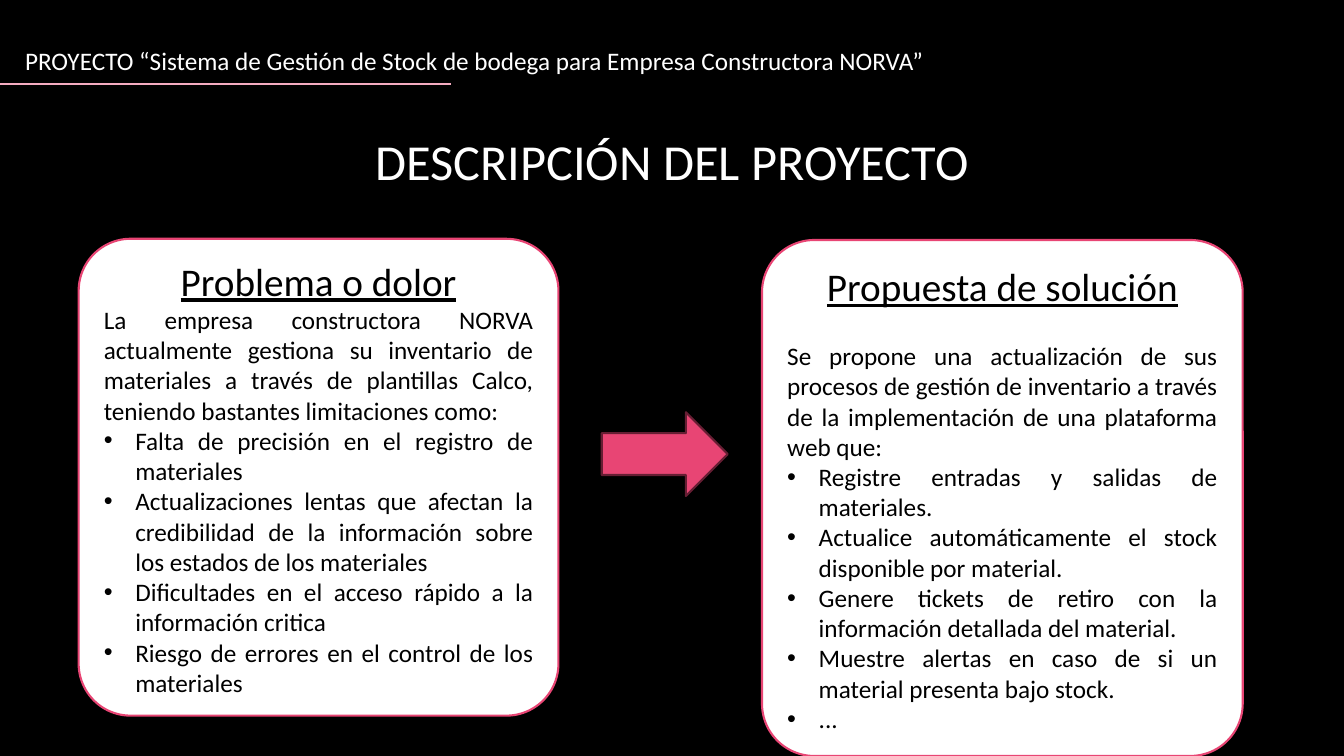
import pptx
import pptx.dml.color
import pptx.enum.shapes
import pptx.enum.text
import pptx.util
from lxml import etree
from pptx.oxml.ns import qn

Pt = pptx.util.Pt
RGBColor = pptx.dml.color.RGBColor
MSO_SHAPE = pptx.enum.shapes.MSO_SHAPE
PP_ALIGN = pptx.enum.text.PP_ALIGN
MSO_ANCHOR = pptx.enum.text.MSO_ANCHOR

BLACK = RGBColor(0x00, 0x00, 0x00)
WHITE = RGBColor(0xFF, 0xFF, 0xFF)
PINK = RGBColor(0xE8, 0x45, 0x74)
LIGHT_PINK = RGBColor(0xF5, 0xAB, 0xC0)
DARK_PINK = RGBColor(0x66, 0x1E, 0x33)

FONT = "Calibri"
SLIDE_WIDTH, SLIDE_HEIGHT = 960, 540
BODY_SIZE = 18
BULLET_INDENT = 22.5

PROBLEM = (
    "Problema o dolor",
    "La empresa constructora NORVA actualmente gestiona su inventario de "
    "materiales a través de plantillas Calco, teniendo bastantes "
    "limitaciones como:",
    [
        "Falta de precisión en el registro de materiales",
        "Actualizaciones lentas que afectan la credibilidad de la información "
        "sobre los estados de los materiales",
        "Dificultades en el acceso rápido a la información critica",
        "Riesgo de errores en el control de los materiales",
    ],
)
SOLUTION = (
    "Propuesta de solución",
    "Se propone una actualización de sus procesos de gestión de inventario a "
    "través de la implementación de una plataforma web que:",
    [
        "Registre entradas y salidas de materiales.",
        "Actualice automáticamente el stock disponible por material.",
        "Genere tickets de retiro con la información detallada del material.",
        "Muestre alertas en caso de si un material presenta bajo stock.",
        "...",
    ],
)


def style_paragraph(paragraph, text, size, color, alignment):
    paragraph.text = text
    paragraph.alignment = alignment
    paragraph.font.name = FONT
    paragraph.font.size = Pt(size)
    paragraph.font.color.rgb = color


def add_bullet(paragraph):
    properties = paragraph._p.get_or_add_pPr()
    properties.set("marL", str(Pt(BULLET_INDENT)))
    properties.set("indent", str(-Pt(BULLET_INDENT)))
    bullet_font = etree.SubElement(properties, qn("a:buFont"))
    bullet_font.set("typeface", "Arial")
    etree.SubElement(properties, qn("a:buChar")).set("char", "•")


def add_text_line(slide, box, text, size, alignment):
    text_box = slide.shapes.add_textbox(*map(Pt, box))
    text_box.text_frame.word_wrap = True
    style_paragraph(text_box.text_frame.paragraphs[0], text, size, WHITE, alignment)


def add_filled_shape(slide, kind, box, fill, line):
    shape = slide.shapes.add_shape(kind, *map(Pt, box))
    shape.shadow.inherit = False
    shape.fill.solid()
    shape.fill.fore_color.rgb = fill
    shape.line.color.rgb = line
    shape.line.width = Pt(1.5)
    return shape


def add_header(slide, box):
    left, top, width, height = box
    add_text_line(
        slide, (left + 10.8, top, width, height),
        "PROYECTO “Sistema de Gestión de Stock de bodega para Empresa "
        "Constructora NORVA”", 18, PP_ALIGN.LEFT)

    # Rule under the project name
    rule_top = Pt(top + height + 2)
    rule = slide.shapes.add_connector(
        pptx.enum.shapes.MSO_CONNECTOR.STRAIGHT,
        Pt(left), rule_top, Pt(left + 322), rule_top)
    rule.line.color.rgb = LIGHT_PINK
    rule.line.width = Pt(1.25)
    etree.SubElement(rule._element.spPr, qn("a:effectLst"))


def add_card(slide, box, content, heading_gap=0):
    heading, introduction, points = content
    card = add_filled_shape(slide, MSO_SHAPE.ROUNDED_RECTANGLE, box, WHITE, PINK)
    card.adjustments[0] = 0.109
    frame = card.text_frame
    frame.word_wrap = True
    frame.vertical_anchor = MSO_ANCHOR.MIDDLE

    # Heading
    title = frame.paragraphs[0]
    style_paragraph(title, heading, 28, BLACK, PP_ALIGN.CENTER)
    title.font.underline = True
    title.space_after = Pt(heading_gap)

    # Introduction and bullets
    style_paragraph(frame.add_paragraph(), introduction, BODY_SIZE, BLACK,
                    PP_ALIGN.JUSTIFY)
    for point in points:
        paragraph = frame.add_paragraph()
        style_paragraph(paragraph, point, BODY_SIZE, BLACK, PP_ALIGN.JUSTIFY)
        add_bullet(paragraph)


def build_description_slide(presentation):
    slide = presentation.slides.add_slide(presentation.slide_layouts[6])
    slide.background.fill.solid()
    slide.background.fill.fore_color.rgb = BLACK

    # Header and title
    add_header(slide, (0, 29, SLIDE_WIDTH, 29))
    add_text_line(slide, (0, 89.3, SLIDE_WIDTH, 51), "DESCRIPCIÓN DEL PROYECTO",
                  36, PP_ALIGN.CENTER)

    # Problem, arrow, solution
    add_card(slide, (56.2, 170.6, 342.7, 340.6), PROBLEM)
    add_card(slide, (544.3, 171.4, 343.4, 368.6), SOLUTION, heading_gap=22)
    add_filled_shape(slide, MSO_SHAPE.RIGHT_ARROW, (429.8, 294.5, 90, 59.8),
                     PINK, DARK_PINK)


def main():
    presentation = pptx.Presentation()
    presentation.slide_width = Pt(SLIDE_WIDTH)
    presentation.slide_height = Pt(SLIDE_HEIGHT)
    build_description_slide(presentation)
    presentation.save("out.pptx")


if __name__ == "__main__":
    main()
